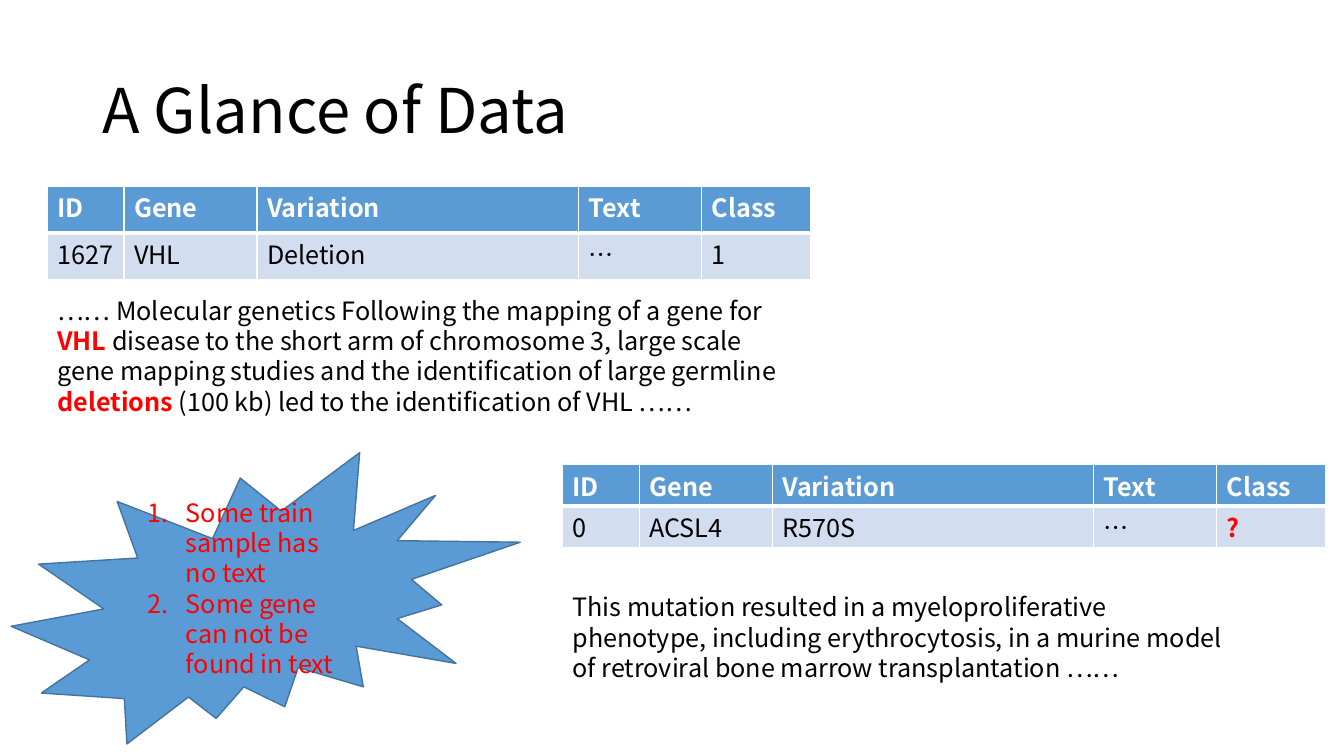
from lxml import etree
from pptx import Presentation
from pptx.dml.color import RGBColor
from pptx.enum.shapes import MSO_SHAPE
from pptx.enum.text import MSO_ANCHOR, PP_ALIGN
from pptx.oxml.ns import qn
from pptx.util import Inches, Pt

BLACK = RGBColor(0, 0, 0)
WHITE = RGBColor(255, 255, 255)
RED = RGBColor(255, 0, 0)
BLUE = RGBColor(0x5B, 0x9B, 0xD5)
PALE = RGBColor(0xD2, 0xDE, 0xEF)
EDGE = RGBColor(0x43, 0x73, 0x9E)
FONT = "Noto Sans CJK SC"
BURST = MSO_SHAPE.EXPLOSION2
MIDDLE = MSO_ANCHOR.MIDDLE
TOP = MSO_ANCHOR.TOP
LEFT = PP_ALIGN.LEFT

HEAD = ["ID", "Gene", "Variation", "Text", "Class"]
WIDTHS = [0.76, 1.32, 3.19, 1.22, 1.08]
TRAIN = ["1627", "VHL", "Deletion", "…", "1"]
TEST = ["0", "ACSL4", "R570S", "…", "?"]
STUDY = [
    ("…… Molecular genetics Following the mapping of a gene for ", False),
    ("VHL", True),
    (" disease to the short arm of chromosome 3, large scale gene mapping "
     "studies and the identification of large germline ", False),
    ("deletions", True),
    (" (100 kb) led to the identification of VHL ……", False),
]
RESULT = [("This mutation resulted in a myeloproliferative phenotype, including "
           "erythrocytosis, in a murine model of retroviral bone marrow "
           "transplantation ……", False)]
ISSUES = ["Some train sample has no text", "Some gene can not be found in text"]


def add_text(par, text, size=18, color=BLACK, bold=False, pitch=Pt(21.6)):
    par.alignment = LEFT
    par.line_spacing = pitch
    run = par.add_run()
    run.text = text
    font = run.font
    font.name = FONT
    font.size = Pt(size)
    font.bold = bold
    font.color.rgb = color
    etree.SubElement(font._element, qn("a:ea"), typeface=FONT)


def add_box(slide, left, top, width, height, anchor=TOP):
    box = slide.shapes.add_textbox(
        Inches(left), Inches(top), Inches(width), Inches(height))
    frame = box.text_frame
    frame.word_wrap = True
    frame.vertical_anchor = anchor
    return frame.paragraphs[0]


def add_prose(slide, runs, *place):
    par = add_box(slide, *place)
    for text, marked in runs:
        add_text(par, text, color=RED if marked else BLACK, bold=marked)


def set_edges(cell, top, bottom):
    props = cell._tc.get_or_add_tcPr()
    for side, width in (("L", 1), ("R", 1), ("T", top), ("B", bottom)):
        line = etree.SubElement(props, qn("a:ln" + side), w=str(Pt(width)))
        fill = etree.SubElement(line, qn("a:solidFill"))
        etree.SubElement(fill, qn("a:srgbClr"), val=str(WHITE))


def add_grid(slide, left, top, sample, foot):
    table = slide.shapes.add_table(
        2, len(HEAD), Inches(left), Inches(top),
        Inches(sum(WIDTHS)), Inches(0.82)).table
    for column, width in zip(table.columns, WIDTHS):
        column.width = Inches(width)
    styles = [(HEAD, BLUE, WHITE, 1, 3), (sample, PALE, BLACK, 3, 1)]
    for row, (words, fill, ink, upper, lower) in enumerate(styles):
        table.rows[row].height = Inches(0.41)
        for col, word in enumerate(words):
            cell = table.cell(row, col)
            set_edges(cell, upper, lower)
            cell.fill.solid()
            cell.fill.fore_color.rgb = fill
            cell.margin_bottom = Inches(foot)
            asked = word == "?"
            add_text(cell.text_frame.paragraphs[0], word,
                     color=RED if asked else ink,
                     bold=asked or row == 0, pitch=Pt(24))


def add_burst(slide):
    burst = slide.shapes.add_shape(
        BURST, Inches(0.11), Inches(4.49), Inches(5.05), Inches(2.89))
    burst.shadow.inherit = False
    burst.fill.solid()
    burst.fill.fore_color.rgb = BLUE
    burst.line.color.rgb = EDGE
    burst.line.width = Pt(1)
    frame = burst.text_frame
    frame.word_wrap = True
    frame.vertical_anchor = MIDDLE
    frame.margin_bottom = Inches(0.35)
    for index, issue in enumerate(ISSUES):
        par = frame.add_paragraph() if index else frame.paragraphs[0]
        add_text(par, issue, color=RED)
        props = par._p.get_or_add_pPr()
        props.set("marL", str(Inches(0.38)))
        props.set("indent", str(Inches(-0.38)))
        etree.SubElement(props, qn("a:buFont"), typeface="+mj-lt")
        etree.SubElement(props, qn("a:buAutoNum"), type="arabicPeriod")


def main():
    deck = Presentation()
    deck.slide_width = Inches(13.33)
    deck.slide_height = Inches(7.5)
    slide = deck.slides.add_slide(deck.slide_layouts[6])
    title = add_box(slide, 0.92, 0.4, 11.5, 1.45, anchor=MIDDLE)
    add_text(title, "A Glance of Data", size=44, pitch=0.9)
    add_grid(slide, 0.47, 1.85, TRAIN, 0.08)
    add_prose(slide, STUDY, 0.47, 2.88, 7.56, 1.31)
    add_grid(slide, 5.58, 4.61, TEST, 0)
    add_prose(slide, RESULT, 5.58, 5.82, 6.67, 1.01)
    add_burst(slide)
    deck.save("out.pptx")


if __name__ == "__main__":
    main()
